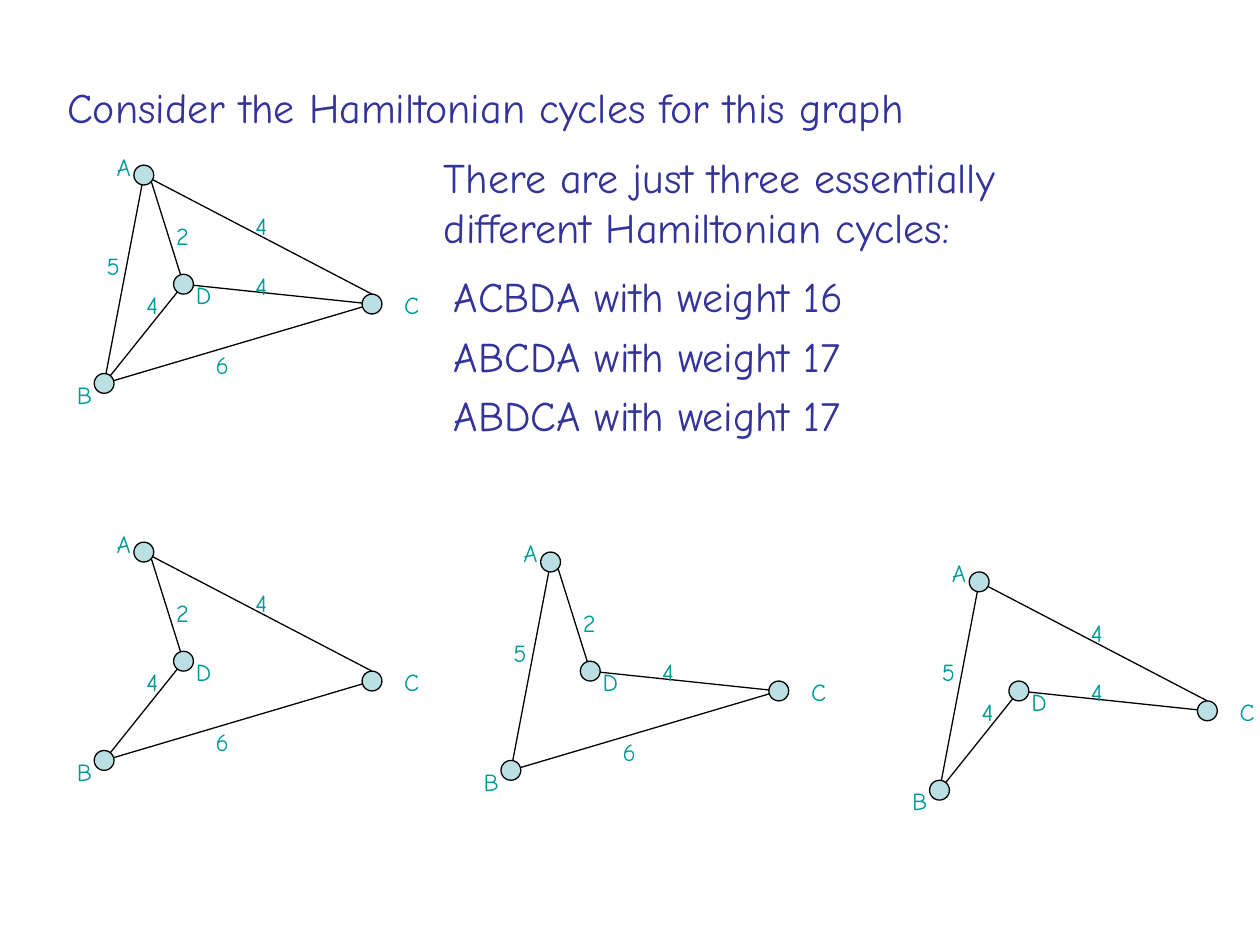
from itertools import pairwise

from lxml import etree
from pptx import Presentation
from pptx.dml.color import RGBColor
from pptx.enum.shapes import MSO_CONNECTOR, MSO_SHAPE
from pptx.enum.text import MSO_ANCHOR, MSO_AUTO_SIZE, PP_ALIGN
from pptx.oxml.ns import qn
from pptx.util import Cm, Pt

STRAIGHT = MSO_CONNECTOR.STRAIGHT
OVAL = MSO_SHAPE.OVAL
GROW = MSO_AUTO_SIZE.SHAPE_TO_FIT_TEXT
TOP = MSO_ANCHOR.TOP
LEFT = PP_ALIGN.LEFT
TITLE_ONLY = 5

COLORS = {"text": "333399", "label": "009999", "vertex": "BBE0E3", "line": "000000"}

VERTICES = {"A": (0, 0), "B": (-0.8, 4.2), "D": (0.8, 2.2), "C": (4.6, 2.6)}
VERTEX_LABELS = {"A": (-0.8, -0.6), "C": (5, 2.2), "B": (-1.6, 4), "D": (0.8, 2)}
EDGES = {
    "BD": (4, (-0.2, 2.2)),
    "AD": (2, (0.4, 0.8)),
    "AB": (5, (-1, 1.4)),
    "AC": (4, (2, 0.6)),
    "BC": (6, (1.2, 3.4)),
    "CD": (4, (2, 1.8)),
}
EDGE_ENDS = {("AD", "A"): (0.15, 0.13), ("AC", "C"): (4.6, 2.4)}

GRAPH_ORIGIN = (2.9, 3.53)
CYCLES = {"ACBDA": (2.9, 11.13), "ABCDA": (11.1, 11.33), "ABDCA": (19.74, 11.73)}


class GraphSlide:
    font = "Comic Neue"
    vertex_size = 0.4
    line_width = Pt(0.75)

    def __init__(self, presentation):
        self.slide = presentation.slides.add_slide(presentation.slide_layouts[TITLE_ONLY])

    def color(self, name):
        return RGBColor.from_string(COLORS[name])

    def set_text(self, box, text, size=24, space=15, color="text"):
        frame = box.text_frame
        frame.text = text
        frame.word_wrap = True
        frame.auto_size = GROW
        frame.vertical_anchor = TOP
        paragraph = frame.paragraphs[0]
        paragraph.alignment = LEFT
        paragraph.space_before = Pt(space)
        font = paragraph.runs[0].font
        font.name = self.font
        font.size = Pt(size)
        font.color.rgb = self.color(color)

    def title(self, text, left, top, width, height):
        heading = self.slide.shapes.title
        heading.left, heading.top = Cm(left), Cm(top)
        heading.width, heading.height = Cm(width), Cm(height)
        self.set_text(heading, text)

    def text(self, text, left, top, width, height):
        box = self.slide.shapes.add_textbox(Cm(left), Cm(top), Cm(width), Cm(height))
        self.set_text(box, text)

    def label(self, canvas, text, left, top):
        box = canvas.add_textbox(Cm(left), Cm(top), Cm(0.66), Cm(0.86))
        self.set_text(box, text, size=14, space=8.8, color="label")

    def edge(self, canvas, start, end):
        line = canvas.add_connector(STRAIGHT, *(Cm(v) for v in (*start, *end)))
        line.line.color.rgb = self.color("line")
        line.line.width = self.line_width
        etree.SubElement(line._element.spPr, qn("a:effectLst"))

    def vertex(self, canvas, x, y):
        size = self.vertex_size
        circle = canvas.add_shape(
            OVAL, Cm(x - size / 2), Cm(y - size / 2), Cm(size), Cm(size))
        circle.shadow.inherit = False
        circle.fill.solid()
        circle.fill.fore_color.rgb = self.color("vertex")
        circle.line.color.rgb = self.color("line")
        circle.line.width = self.line_width

    def graph(self, canvas, origin, edges):
        def place(offset):
            return origin[0] + offset[0], origin[1] + offset[1]

        for edge in edges:
            start, end = (place(EDGE_ENDS.get((edge, name), VERTICES[name])) for name in edge)
            self.edge(canvas, start, end)
        for name, offset in VERTEX_LABELS.items():
            self.label(canvas, name, *place(offset))
        for offset in VERTICES.values():
            self.vertex(canvas, *place(offset))
        for edge in edges:
            weight, offset = EDGES[edge]
            self.label(canvas, str(weight), *place(offset))


def cycle_edges(cycle):
    return ["".join(sorted(pair)) for pair in pairwise(cycle)]


def main():
    presentation = Presentation()
    presentation.slide_width, presentation.slide_height = Cm(25.4), Cm(19.05)
    page = GraphSlide(presentation)
    shapes = page.slide.shapes

    page.title("Consider the Hamiltonian cycles for this graph", 1.1, 1.52, 25.4, 1.27)
    page.text("There are just three essentially different Hamiltonian cycles:",
              8.7, 2.92, 14.2, 2.29)
    page.graph(shapes, GRAPH_ORIGIN, EDGES)

    for row, (cycle, origin) in enumerate(CYCLES.items()):
        edges = cycle_edges(cycle)
        total = sum(EDGES[edge][0] for edge in edges)
        page.text(f"{cycle} with weight {total}", 8.9, 5.33 + 1.2 * row, 9.6, 1.27)
        page.graph(shapes.add_group_shape().shapes, origin, edges)

    presentation.save("out.pptx")


if __name__ == "__main__":
    main()
